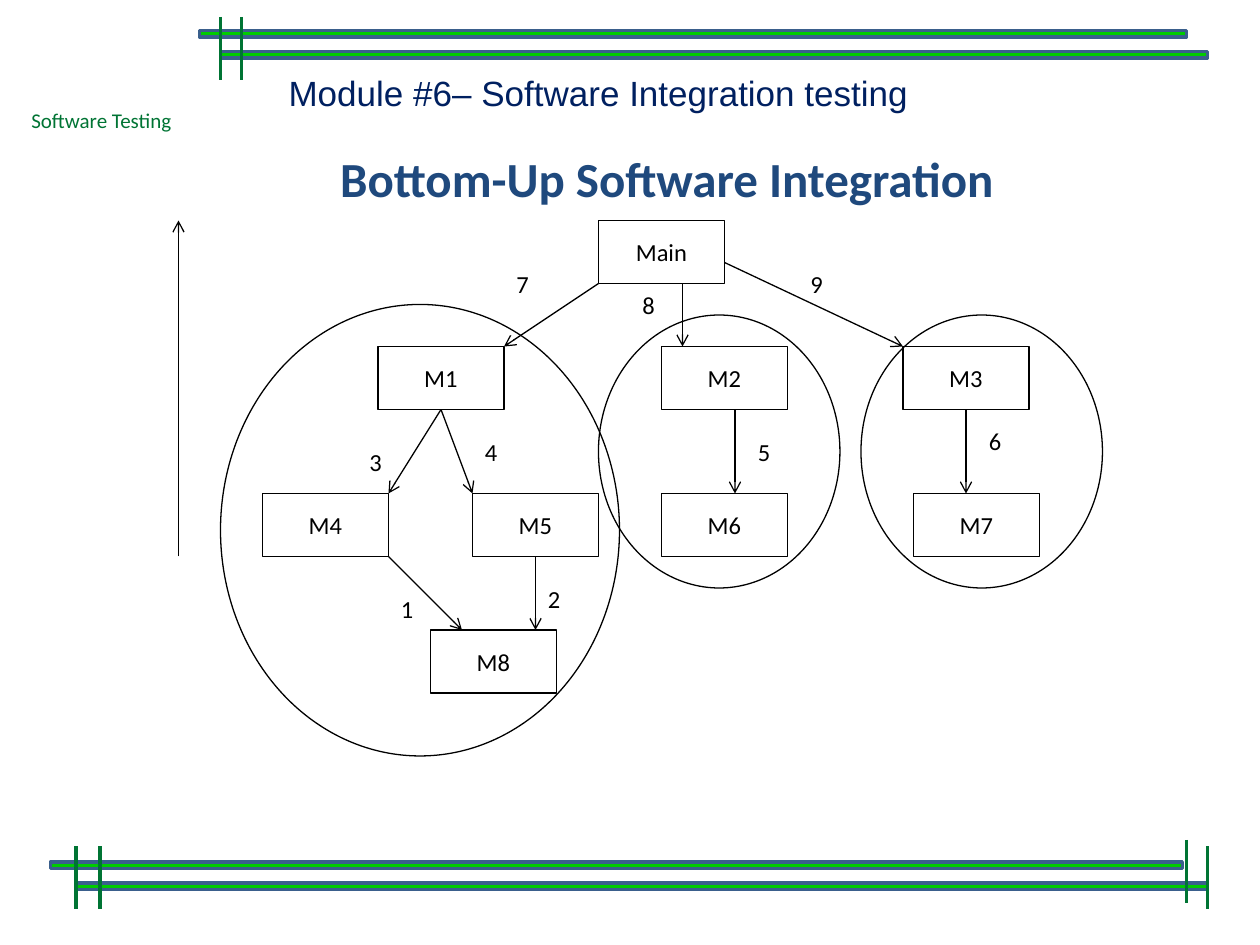
from lxml import etree
from pptx import Presentation
from pptx.dml.color import RGBColor
from pptx.enum.shapes import MSO_CONNECTOR, MSO_SHAPE
from pptx.enum.text import MSO_ANCHOR, PP_ALIGN
from pptx.oxml.ns import qn
from pptx.util import Pt

PX = 7620  # 120 px to the inch
RECT, OVAL = MSO_SHAPE.RECTANGLE, MSO_SHAPE.OVAL
BAR, LINE = MSO_SHAPE.FLOWCHART_PROCESS, MSO_CONNECTOR.STRAIGHT
MIDDLE, CENTER = MSO_ANCHOR.MIDDLE, PP_ALIGN.CENTER
BLACK, WHITE, GREEN = "000000", "FFFFFF", "007434"
rgb = RGBColor.from_string


def write(shape, text, size, color, font="Calibri"):
    frame = shape.text_frame
    frame.text = text
    frame.word_wrap = False
    face = frame.paragraphs[0].runs[0].font
    face.name, face.size = font, Pt(size)
    face.color.rgb = rgb(color)


def draw(ends, color, width, arrow=False):
    """Add a straight line through ends (x1, y1, x2, y2)."""
    line = shapes.add_connector(LINE, *[v * PX for v in ends])
    line.line.color.rgb = rgb(color)
    line.line.width = Pt(width)
    if arrow:
        etree.SubElement(line.line._get_or_add_ln(), qn("a:tailEnd"), type="arrow")
    etree.SubElement(line._element.spPr, qn("a:effectLst"))
    return line


prs = Presentation()
prs.slide_width, prs.slide_height = 1200 * PX, 900 * PX
slide = prs.slides.add_slide(prs.slide_layouts[5])
shapes = slide.shapes

# Title
title = shapes.title
title.left, title.top, title.width, title.height = [v * PX for v in (230, 140, 810, 66)]
title.fill.solid()
title.fill.fore_color.rgb = rgb(WHITE)
write(title, "Bottom-Up Software Integration", 28, "1F497D")
frame = title.text_frame
frame.word_wrap = True
frame.vertical_anchor = MIDDLE
frame.margin_left = frame.margin_right = frame.margin_top = frame.margin_bottom = 19 * PX
head = frame.paragraphs[0]
head.alignment, head.line_spacing = CENTER, 0.9
head.runs[0].font.bold = True

# Green bars and posts at top and bottom
for x, y, w in [(190, 29, 940), (210, 49, 940), (48, 821, 1078), (72, 841, 1078)]:
    bar = shapes.add_shape(BAR, x * PX, y * PX, w * PX, 6 * PX)
    bar.shadow.inherit = False
    bar.fill.solid()
    bar.fill.fore_color.rgb = rgb("00CC00")
    bar.line.color.rgb = rgb("3A5F8C")
    bar.line.width = Pt(2)
for x, y in [(210, 16), (230, 16), (72, 806), (95, 806), (1150, 806), (1130, 800)]:
    draw((x, y, x, y + 60), GREEN, 2.25)

# Course and module names
course = shapes.add_textbox(18 * PX, 97 * PX, 160 * PX, 36 * PX)
write(course, "Software Testing", 12, GREEN)
module = shapes.add_textbox(263 * PX, 62 * PX, 757 * PX, 53 * PX)
module.fill.solid()
module.fill.fore_color.rgb = rgb(WHITE)
write(module, "Module #6– Software Integration testing", 20, "002060", "Arial")

# Modules
places = {
    "Main": (570, 210), "M1": (360, 330), "M2": (630, 330), "M3": (860, 330),
    "M4": (250, 470), "M5": (450, 470), "M6": (630, 470), "M7": (870, 470),
    "M8": (410, 600),
}
boxes = {}
for name, (x, y) in places.items():
    box = shapes.add_shape(RECT, x * PX, y * PX, 120 * PX, 60 * PX)
    box.shadow.inherit = False
    box.fill.solid()
    box.fill.fore_color.rgb = rgb(WHITE)
    box.line.color.rgb = rgb(BLACK)
    box.line.width = Pt(0.75)
    write(box, name, 14, BLACK)
    box.text_frame.vertical_anchor = MIDDLE
    box.text_frame.paragraphs[0].alignment = CENTER
    boxes[name] = box

# Arrows, with the box whose bottom middle they leave from
arrows = [
    ((650, 270, 650, 330), None), ((570, 270, 480, 330), None),
    ((690, 250, 860, 330), None), ((420, 390, 370, 470), "M1"),
    ((420, 390, 450, 470), "M1"), ((510, 530, 510, 600), "M5"),
    ((700, 390, 700, 470), None), ((920, 390, 920, 470), "M3"),
    ((370, 530, 440, 600), None), ((170, 530, 170, 210), None),
]
for ends, source in arrows:
    arrow = draw(ends, BLACK, 0.75, True)
    if source:
        arrow.begin_connect(boxes[source], 2)

# Clusters
for x, y, w, h in [(210, 290, 380, 430), (570, 300, 230, 260), (820, 300, 230, 260)]:
    ring = shapes.add_shape(OVAL, x * PX, y * PX, w * PX, h * PX)
    ring.shadow.inherit = False
    ring.fill.background()
    ring.line.color.rgb = rgb(BLACK)
    ring.line.width = Pt(0.75)

# Order of integration, from 1 to 9
steps = [(370, 560), (510, 550), (340, 420), (450, 410), (710, 410),
         (930, 400), (480, 250), (600, 270), (760, 250)]
for step, (x, y) in enumerate(steps, 1):
    label = shapes.add_textbox(x * PX, y * PX, 36 * PX, 40 * PX)
    write(label, str(step), 14, BLACK)

prs.save("out.pptx")
